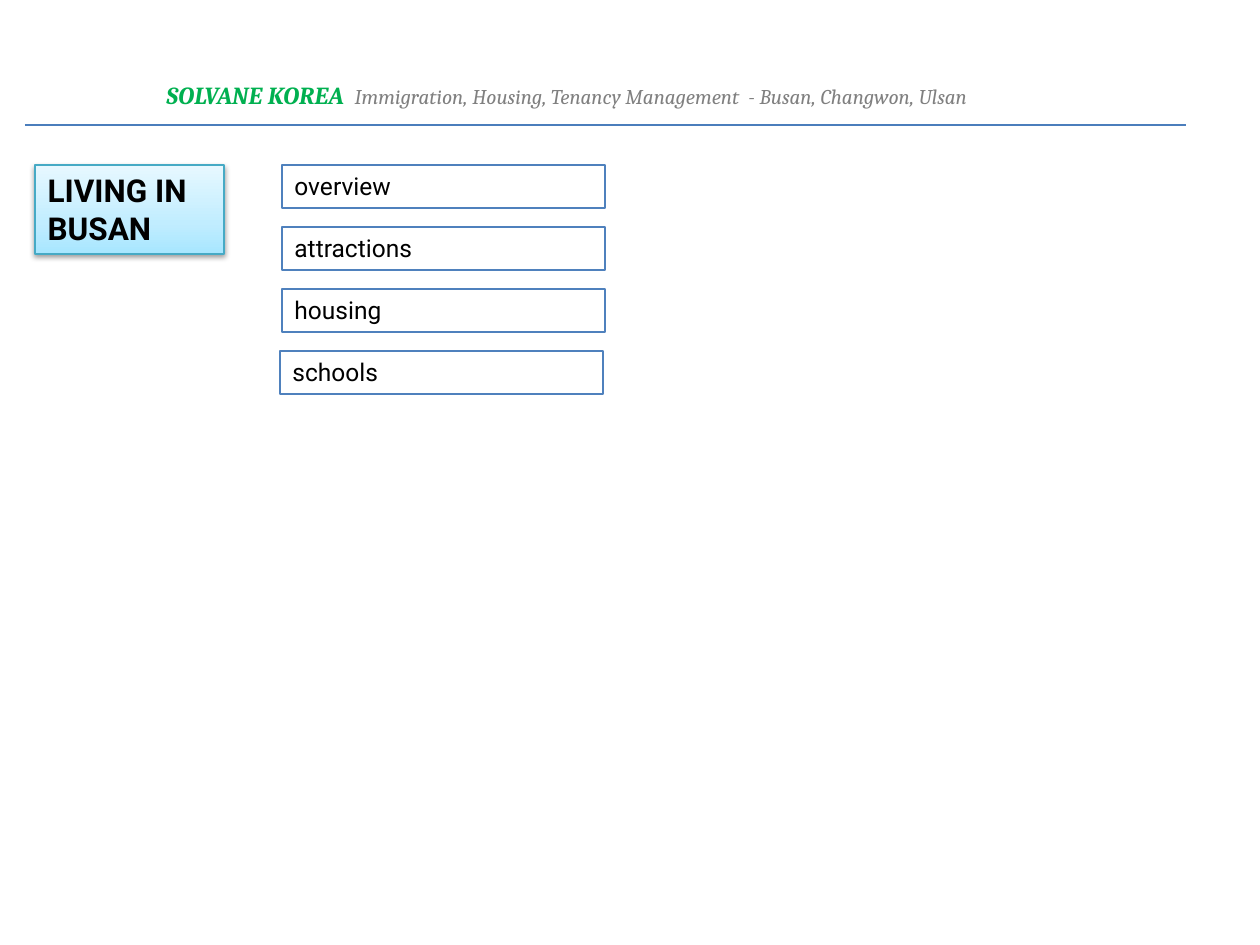
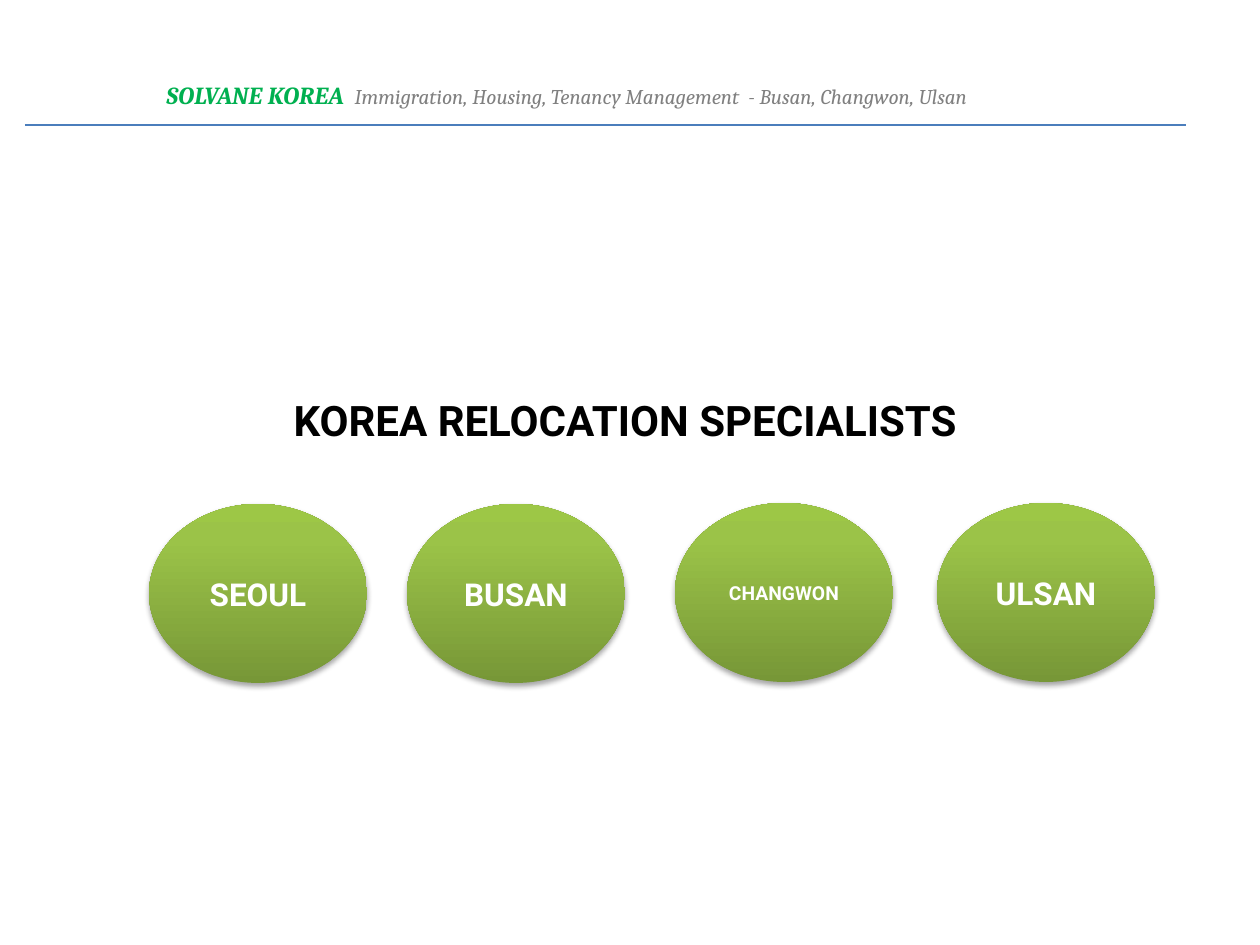
from copy import deepcopy

from lxml import etree
from pptx import Presentation
from pptx.dml.color import RGBColor
from pptx.enum.shapes import MSO_CONNECTOR, MSO_SHAPE
from pptx.enum.text import MSO_ANCHOR, MSO_AUTO_SIZE, PP_ALIGN
from pptx.oxml.ns import qn
from pptx.util import Pt

PX = 914400 // 126
TOP, MIDDLE = MSO_ANCHOR.TOP, MSO_ANCHOR.MIDDLE
LEFT, CENTER = PP_ALIGN.LEFT, PP_ALIGN.CENTER
RECTANGLE, OVAL = MSO_SHAPE.RECTANGLE, MSO_SHAPE.OVAL
TITLE_ONLY = 5

COLORS = {
    "text": "000000", "white": "FFFFFF", "brand": "00B050", "tagline": "808080",
    "rule": "4B7EBC", "topic": "4F81BD", "title_border": "46AAC5", "shadow": "000000",
}
SKY = [(0, "A7E6FF"), (0.35, "C1EDFF"), (1, "E7F8FF")]
GREEN = [(0, "779737"), (0.8, "9BC348"), (1, "9DC746")]
BODY_FONT, HEADER_FONT = "Roboto", "Cambria"

# Content: lengths in px
HEADER = [("SOLVANE KOREA  ", 14, "brand", True),
          ("Immigration, Housing, Tenancy Management  - Busan, Changwon, Ulsan",
           12, "tagline", False)]
LIVING_TITLE = "LIVING IN BUSAN"
TOPICS = [("overview", 282), ("attractions", 282), ("housing", 282), ("schools", 280)]
TOPIC_TOP, TOPIC_STEP, TOPIC_SIZE = 165, 62, (323, 43)
RELOCATION_TITLE = "KOREA RELOCATION SPECIALISTS"
CITIES = [("SEOUL", 149, 504, 18), ("BUSAN", 407, 504, 18),
          ("CHANGWON", 675, 503, 11), ("ULSAN", 937, 503, 18)]
CITY_SIZE = (218, 179)


def rgb(name):
    return RGBColor.from_string(COLORS[name])


def scaled(*lengths):
    return [length * PX for length in lengths]


def style_run(run, size, color, bold=False, font=BODY_FONT, italic=False):
    run.font.name, run.font.size = font, Pt(size)
    run.font.bold, run.font.italic = bold, italic
    run.font.color.rgb = rgb(color)


def set_text(shape, text, size, color="text", bold=False, anchor=TOP, align=LEFT):
    frame = shape.text_frame
    frame.text = text
    frame.word_wrap, frame.auto_size = True, MSO_AUTO_SIZE.NONE
    frame.vertical_anchor = anchor
    paragraph = frame.paragraphs[0]
    paragraph.alignment = align
    style_run(paragraph.runs[0], size, color, bold)


def set_border(shape, color):
    shape.line.color.rgb = rgb(color)
    shape.line.width = Pt(0.75)


def set_gradient(shape, stops):
    """Fill upwards, from the first stop at the bottom to the last at the top."""
    shape.fill.gradient()
    shape.fill.gradient_angle = 90
    stop_list = shape._element.spPr.find(".//" + qn("a:gsLst"))
    while len(stop_list) < len(stops):
        stop_list.append(deepcopy(stop_list[-1]))
    for stop, (position, color) in zip(shape.fill.gradient_stops, stops):
        stop.position = position
        stop.color.rgb = RGBColor.from_string(color)


def set_shadow(shape, opacity, distance):
    shape.shadow.inherit = False
    effects = shape._element.spPr.find(qn("a:effectLst"))
    shadow = etree.SubElement(effects, qn("a:outerShdw"), blurRad=str(Pt(3.1)),
                              dist=str(Pt(distance)), dir="5400000", rotWithShape="0")
    color = etree.SubElement(shadow, qn("a:srgbClr"), val=COLORS["shadow"])
    etree.SubElement(color, qn("a:alpha"), val=str(opacity * 1000))


def add_shape(slide, kind, left, top, size):
    shape = slide.shapes.add_shape(kind, *scaled(left, top, *size))
    shape.shadow.inherit = False
    return shape


def add_header(slide):
    box = slide.shapes.add_textbox(*scaled(154, 74, 978, 43))
    box.text_frame.word_wrap = True
    paragraph = box.text_frame.paragraphs[0]
    for text, size, color, bold in HEADER:
        run = paragraph.add_run()
        run.text = text
        style_run(run, size, color, bold, HEADER_FONT, italic=True)
    rule = slide.shapes.add_connector(MSO_CONNECTOR.STRAIGHT, *scaled(25, 125, 1186, 125))
    set_border(rule, "rule")
    etree.SubElement(rule._element.spPr, qn("a:effectLst"))


def add_slide(presentation, title_text, title_box, title_size):
    slide = presentation.slides.add_slide(presentation.slide_layouts[TITLE_ONLY])
    add_header(slide)
    title = slide.shapes.title
    title.left, title.top, title.width, title.height = scaled(*title_box)
    set_text(title, title_text, title_size, bold=True)
    return slide


def build_living(presentation):
    slide = add_slide(presentation, LIVING_TITLE, (35, 165, 189, 89), 18)
    title = slide.shapes.title
    set_gradient(title, SKY)
    set_border(title, "title_border")
    set_shadow(title, 38, 1.6)
    # Topic list
    for row, (topic, left) in enumerate(TOPICS):
        box = add_shape(slide, RECTANGLE, left, TOPIC_TOP + row * TOPIC_STEP, TOPIC_SIZE)
        box.fill.background()
        set_border(box, "topic")
        set_text(box, topic, 14)


def build_relocation(presentation):
    slide = add_slide(presentation, RELOCATION_TITLE, (281, 388, 765, 63), 24)
    # City ovals
    for city, left, top, size in CITIES:
        oval = add_shape(slide, OVAL, left, top, CITY_SIZE)
        set_gradient(oval, GREEN)
        oval.line.fill.background()
        set_shadow(oval, 35, 1.8)
        set_text(oval, city, size, "white", True, MIDDLE, CENTER)


def main():
    presentation = Presentation()
    presentation.slide_width, presentation.slide_height = scaled(1260, 945)
    build_living(presentation)
    build_relocation(presentation)
    presentation.save("out.pptx")


if __name__ == "__main__":
    main()
